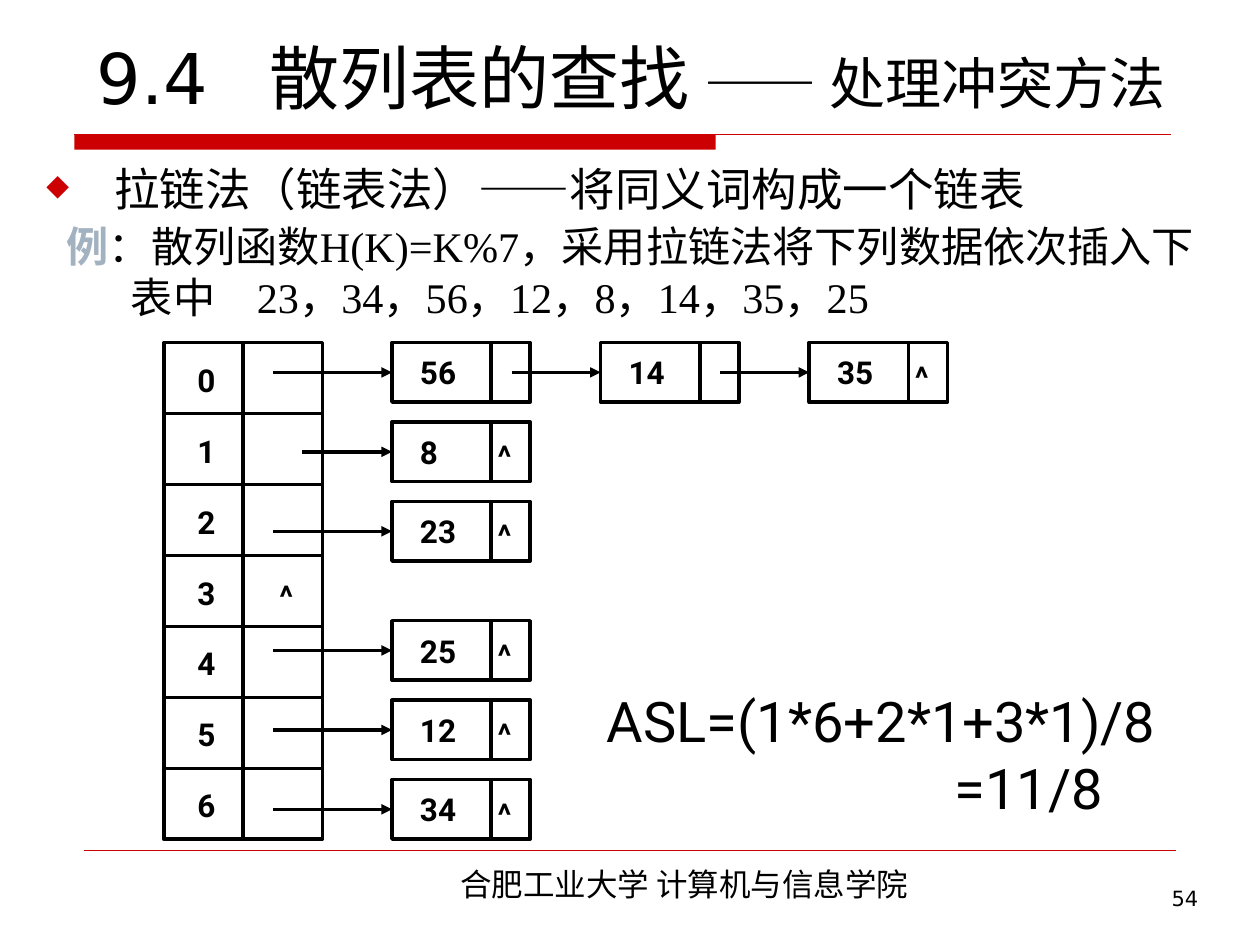
import pptx
import pptx.dml.color
import pptx.enum.shapes
import pptx.enum.text
import pptx.oxml
import pptx.oxml.ns
import pptx.util
from lxml import etree

Pt = pptx.util.Pt
ALIGN = pptx.enum.text.PP_ALIGN
ANCHOR = pptx.enum.text.MSO_ANCHOR
BLACK, RED, GRAY = "000000", "CC0000", "A3B2C1"
TABLE_LEFT, TABLE_TOP, TABLE_WIDTH, ROW_HEIGHT, ROWS = 93.6, 195.8, 90.7, 40.54, 7
DIVIDER_X = 139
NODE_LEFT, NODE_WIDTH, NODE_HEIGHT = 224, 79, 34
NODE_STEP, CHAIN_STEP = 119.2, 45.4
CHAINS = [
    (0, 156.2, ["56", "14", "35"]),
    (1, 172.8, ["8"]),
    (2, 156.2, ["23"]),
    (3.5, 156.2, ["25"]),
    (4.5, 156.2, ["12"]),
    (5.5, 156.2, ["34"]),
]


def color(value):
    """Turn a hex string into a colour."""
    return pptx.dml.color.RGBColor.from_string(value)


def add_child(parent, tag, **attributes):
    """Append a DrawingML element to a parent element."""
    child = etree.SubElement(parent, pptx.oxml.ns.qn(tag))
    for name, value in attributes.items():
        child.set(name, str(value))
    return child


def style_font(font, size, name, bold=False, hex_color=BLACK):
    """Set the size, typeface, weight and colour of a font."""
    font.size, font.name, font.bold = Pt(size), name, bold
    font.color.rgb = color(hex_color)


def indent(paragraph, left, first=0):
    """Set the left margin and first-line indent of a paragraph."""
    properties = paragraph._p.get_or_add_pPr()
    properties.set("marL", str(int(Pt(left))))
    properties.set("indent", str(int(Pt(first))))


def add_tab(paragraph, position):
    """Give a paragraph one left tab stop."""
    stops = pptx.oxml.parse_xml(
        f'<a:tabLst {pptx.oxml.ns.nsdecls("a")}>'
        f'<a:tab pos="{int(Pt(position))}" algn="l"/></a:tabLst>')
    properties = paragraph._p.get_or_add_pPr()
    properties.insert_element_before(stops, "a:defRPr", "a:extLst")


def add_bullet(paragraph, character, hex_color, percent):
    """Give a paragraph a coloured bullet character."""
    properties = paragraph._p.get_or_add_pPr()
    tags = "a:buClr", "a:buSzPct", "a:buChar"
    bullet_color, size, bullet = (etree.Element(pptx.oxml.ns.qn(tag)) for tag in tags)
    add_child(bullet_color, "a:srgbClr", val=hex_color)
    size.set("val", str(percent * 1000))
    bullet.set("char", character)
    for element in (bullet_color, size, bullet):
        properties.insert_element_before(element, "a:tabLst", "a:defRPr", "a:extLst")


def add_text(slide, box, text, size, name, bold=False, wrap=True, align=ALIGN.LEFT, before=0):
    """Add a text box and return its paragraphs."""
    frame = slide.shapes.add_textbox(*map(Pt, box)).text_frame
    frame.word_wrap = wrap
    frame.text = text
    for paragraph in frame.paragraphs:
        paragraph.alignment = align
        paragraph.space_before = Pt(before)
        style_font(paragraph.font, size, name, bold)
    return frame.paragraphs


def add_label(slide, left, top, text):
    """Add a small bold label of the diagram."""
    add_text(slide, (left, top, 24.5, 28.8), text, 18, "Roboto", bold=True, wrap=False)


def add_line(slide, start, end, width=2, hex_color=BLACK, arrow=False):
    """Draw a straight line, with an arrowhead at its end if asked."""
    straight = pptx.enum.shapes.MSO_CONNECTOR.STRAIGHT
    line = slide.shapes.add_connector(straight, *map(Pt, (*start, *end)))
    line.line.width = Pt(width)
    line.line.color.rgb = color(hex_color)
    if arrow:
        add_child(line.line._get_or_add_ln(), "a:tailEnd", type="triangle")
    add_child(line._element.spPr, "a:effectLst")


def add_rectangle(slide, box, fill=None):
    """Add a filled bar without outline, or a black outline without fill."""
    rectangle = pptx.enum.shapes.MSO_SHAPE.RECTANGLE
    shape = slide.shapes.add_shape(rectangle, *map(Pt, box))
    shape.shadow.inherit = False
    if fill:
        shape.fill.solid()
        shape.fill.fore_color.rgb = color(fill)
        shape.line.fill.background()
    else:
        shape.fill.background()
        shape.line.width = Pt(2)
        shape.line.color.rgb = color(BLACK)
    return shape


def add_node(slide, left, top, key, start, last):
    """Add a list node with its incoming arrow and, if last, a null mark."""
    frame = add_rectangle(slide, (left, top, NODE_WIDTH, NODE_HEIGHT)).text_frame
    frame.vertical_anchor = ANCHOR.MIDDLE
    frame.margin_left = Pt(16)
    frame.text = key
    paragraph = frame.paragraphs[0]
    paragraph.alignment = ALIGN.LEFT
    style_font(paragraph.font, 18, "Roboto", bold=True)
    divider, middle = left + 56.7, top + NODE_HEIGHT / 2
    add_line(slide, (divider, top), (divider, top + NODE_HEIGHT))
    add_line(slide, (start, middle), (left, middle), arrow=True)
    if last:
        add_label(slide, left + 53.3, top + 5, "^")


def add_hash_table(slide):
    """Draw the numbered slots of the hash table."""
    height, right = ROWS * ROW_HEIGHT, TABLE_LEFT + TABLE_WIDTH
    add_rectangle(slide, (TABLE_LEFT, TABLE_TOP, TABLE_WIDTH, height))
    add_line(slide, (DIVIDER_X, TABLE_TOP), (DIVIDER_X, TABLE_TOP + height))
    for row in range(ROWS):
        top = TABLE_TOP + row * ROW_HEIGHT
        if row:
            add_line(slide, (TABLE_LEFT, top), (right, top))
        add_label(slide, 105.8, top + 6.8, str(row))
    add_label(slide, 152.6, 326.2, "^")


def add_chains(slide):
    """Draw the linked list of every occupied slot."""
    for slot, start, keys in CHAINS:
        for index, key in enumerate(keys):
            left = NODE_LEFT + index * NODE_STEP
            add_node(slide, left, TABLE_TOP + slot * CHAIN_STEP, key, start,
                     index == len(keys) - 1)
            start = left + 68.4


def set_title(slide):
    """Place and format the title."""
    title = slide.shapes.title
    title.left, title.top, title.width, title.height = map(Pt, (48.2, 9.4, 652.3, 61.9))
    frame = title.text_frame
    frame.auto_size = pptx.enum.text.MSO_AUTO_SIZE.NONE
    frame.vertical_anchor = ANCHOR.BOTTOM
    paragraph = frame.paragraphs[0]
    paragraph.alignment = ALIGN.LEFT
    add_tab(paragraph, 98.6)
    for text, size in (("9.4\t散列表的查找 ", 40), ("—— 处理冲突方法", 32)):
        run = paragraph.add_run()
        run.text = text
        style_font(run.font, size, "DejaVu Sans")


def add_introduction(slide):
    """Add the method line and the worked example."""
    method = add_text(slide, (19.4, 88.6, 671.8, 39.6), "拉链法（链表法）——将同义词构成一个链表",
                      26, "Times New Roman", before=6.5)[0]
    indent(method, 38.9, -38.9)
    add_bullet(method, "◆", RED, 65)
    example = add_text(slide, (31, 122.4, 672.5, 68.4), "", 24.1, "Times New Roman", before=6.5)[0]
    indent(example, 36.7, -36.7)
    add_tab(example, 112.7)
    body = "：散列函数H(K)=K%7，采用拉链法将下列数据依次插入下表中\t23，34，56，12，8，14，35，25"
    for text, bold, hex_color in (("例", True, GRAY), (body, False, BLACK)):
        run = example.add_run()
        run.text = text
        style_font(run.font, 24.1, "Times New Roman", bold, hex_color)


def main():
    """Build and save the slide."""
    presentation = pptx.Presentation()
    presentation.slide_width, presentation.slide_height = Pt(720), Pt(540)
    slide = presentation.slides.add_slide(presentation.slide_layouts[5])
    add_rectangle(slide, (42.5, 77, 366.5, 8.6), fill=RED)
    add_line(slide, (42.5, 77), (669, 77), 0.75, RED)
    add_line(slide, (48.2, 486), (671.8, 486), 0.25, RED)
    add_text(slide, (172.8, 491, 436.3, 28.8), "合肥工业大学 计算机与信息学院", 18,
             "Noto Sans CJK SC", align=ALIGN.CENTER, before=11.2)
    set_title(slide)
    add_introduction(slide)
    add_hash_table(slide)
    add_chains(slide)
    result = add_text(slide, (339.8, 388.8, 336.2, 84.2), "ASL=(1*6+2*1+3*1)/8\n=11/8", 32, "Roboto")
    indent(result[1], 198.7)
    add_text(slide, (535.7, 502.6, 156.2, 37.4), "54", 12, "DejaVu Sans", align=ALIGN.RIGHT)
    presentation.save("out.pptx")


if __name__ == "__main__":
    main()
